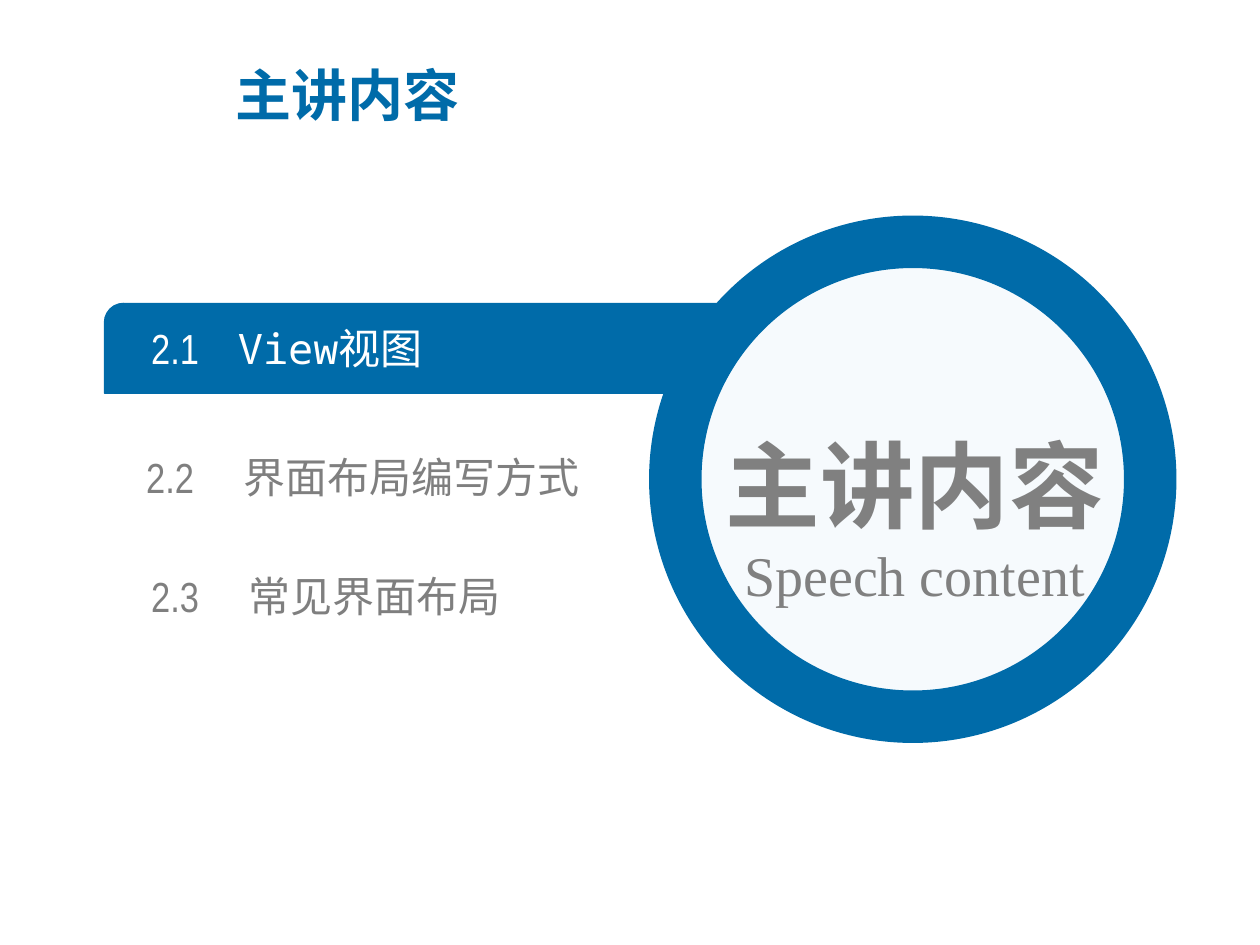
from lxml import etree
from pptx import Presentation
from pptx import util as u
from pptx.dml.color import RGBColor
from pptx.enum import shapes, text
from pptx.oxml.ns import qn

BLUE, PALE, GREY, LABEL_GREY, WHITE = "006BA9", "F6FAFD", "808080", "7F7F7F", "FFFFFF"
CJK, NARROW, MONO, SERIF = "Noto Sans CJK SC", "Arial Narrow", "Noto Sans Mono", "Times New Roman"


def color(value):
    return RGBColor.from_string(value)


def set_attributes(target, values):
    for name, value in values.items():
        setattr(target, name, value)


def place(shape, left, top, width, height):
    values = {"left": left, "top": top, "width": width, "height": height}
    set_attributes(shape, {name: u.Pt(value) for name, value in values.items()})


def add_run(paragraph, words, font, size, fill, bold=False):
    run = paragraph.add_run()
    run.text = words
    set_attributes(run.font, {"name": font, "size": u.Pt(size), "bold": bold})
    run.font.color.rgb = color(fill)
    etree.SubElement(run.font._element, qn("a:ea")).set("typeface", CJK)


def add_tab_stop(paragraph, position):
    properties = paragraph._p.get_or_add_pPr()
    tabs = etree.SubElement(properties, qn("a:tabLst"))
    tab = etree.SubElement(tabs, qn("a:tab"))
    tab.set("pos", str(u.Pt(position)))
    tab.set("algn", "l")


def add_panel(slide, kind, box, fill, line_width):
    shape = slide.shapes.add_shape(kind, *map(u.Pt, box))
    shape.shadow.inherit = False
    shape.fill.solid()
    shape.fill.fore_color.rgb = color(fill)
    shape.line.color.rgb = color(BLUE)
    shape.line.width = u.Pt(line_width)
    return shape


def add_text_frame(slide, box, margin=None):
    frame = slide.shapes.add_textbox(*map(u.Pt, box)).text_frame
    set_attributes(frame, {
        "word_wrap": True,
        "vertical_anchor": text.MSO_ANCHOR.MIDDLE,
        "auto_size": text.MSO_AUTO_SIZE.SHAPE_TO_FIT_TEXT,
    })
    if margin is not None:
        sides = ("left", "top", "right", "bottom")
        set_attributes(frame, {f"margin_{side}": u.Pt(margin) for side in sides})
    return frame


def add_agenda_item(slide, left, top, tab, fill, number, parts):
    frame = add_text_frame(slide, (left, top, 301.7, 28.8), margin=0)
    paragraph = frame.paragraphs[0]
    add_tab_stop(paragraph, tab)
    add_run(paragraph, number + "\t", NARROW, 24, fill)
    for words, font in parts:
        add_run(paragraph, words, font, 24, fill)


def add_title(slide, words):
    title = slide.shapes.title
    place(title, 127.4, 31.7, 389.5, 43.9)
    set_attributes(title.text_frame, {
        "word_wrap": True,
        "vertical_anchor": text.MSO_ANCHOR.MIDDLE,
        "auto_size": text.MSO_AUTO_SIZE.NONE,
    })
    paragraph = title.text_frame.paragraphs[0]
    paragraph.alignment = text.PP_ALIGN.LEFT
    add_run(paragraph, words, CJK, 32, BLUE, bold=True)


def add_circle_caption(slide):
    frame = add_text_frame(slide, (382.3, 207.4, 280.8, 144))
    heading, subtitle = frame.paragraphs[0], frame.add_paragraph()
    for paragraph in (heading, subtitle):
        paragraph.alignment = text.PP_ALIGN.CENTER
    heading.line_spacing = 1.5
    add_run(heading, "主讲内容", CJK, 54, GREY, bold=True)
    add_run(subtitle, "Speech content", SERIF, 32, GREY)


def main():
    presentation = Presentation()
    set_attributes(presentation, {"slide_width": u.Pt(720), "slide_height": u.Pt(540)})
    slide = presentation.slides.add_slide(presentation.slide_layouts[5])
    add_title(slide, "主讲内容")

    kinds = shapes.MSO_SHAPE
    banner = add_panel(slide, kinds.ROUND_2_DIAG_RECTANGLE, (59.8, 173.5, 385.2, 51.1), BLUE, 1)
    banner.adjustments[0] = 0.21
    banner.adjustments[1] = 0

    items = [
        (86.4, 184.3, 49.5, WHITE, "2.1", [("View", MONO), ("视图", NARROW)]),
        (83.5, 257.8, 55.5, LABEL_GREY, "2.2", [("界面布局编写方式", NARROW)]),
        (86.4, 326.2, 55.5, LABEL_GREY, "2.3", [("常见界面布局", NARROW)]),
    ]
    for item in items:
        add_agenda_item(slide, *item)

    add_panel(slide, kinds.OVAL, (385.9, 138.2, 271.4, 271.4), PALE, 30)
    add_circle_caption(slide)
    presentation.save("out.pptx")


if __name__ == "__main__":
    main()
